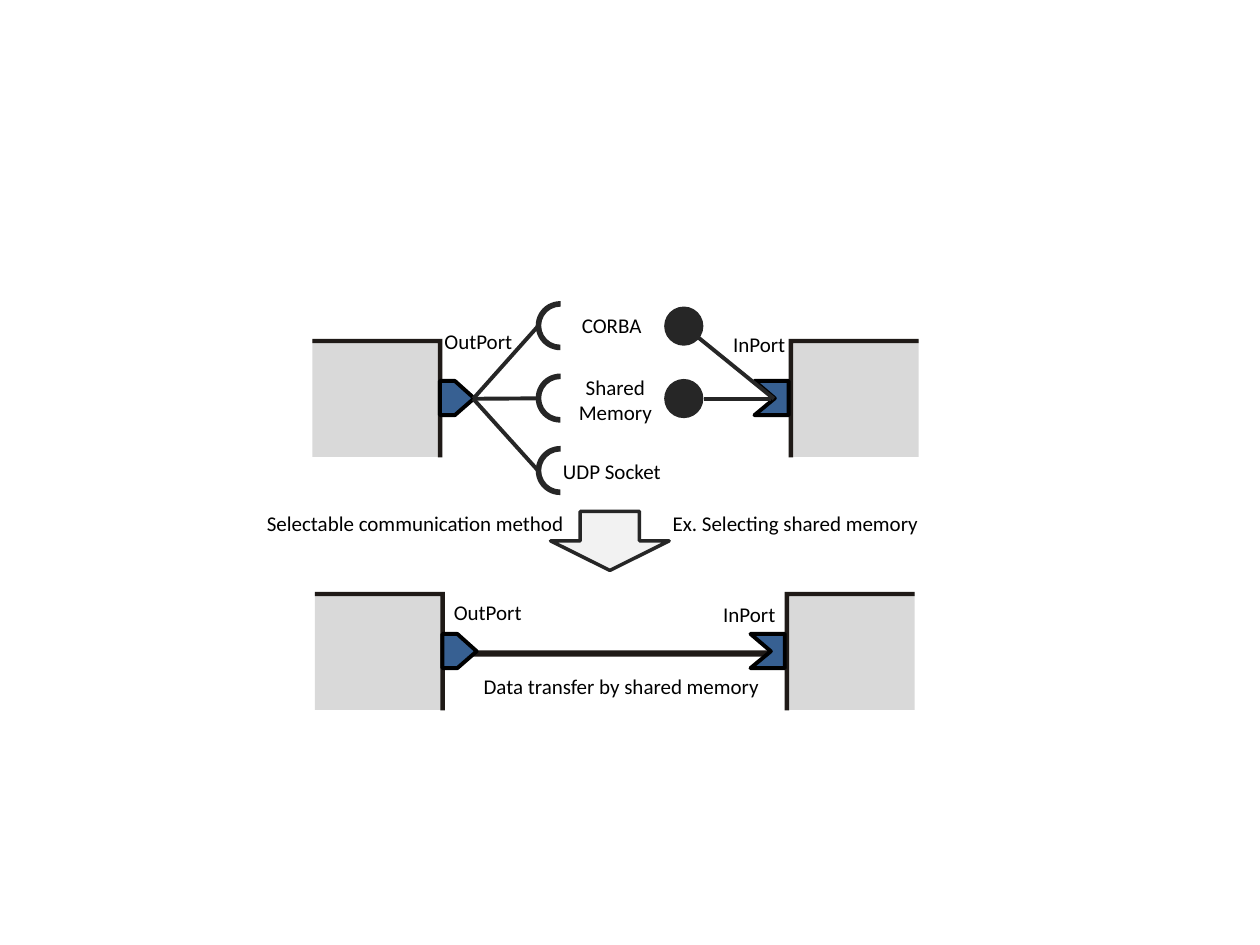
from lxml import etree
from pptx import Presentation
from pptx.dml.color import RGBColor
from pptx.enum import shapes, text
from pptx.oxml import ns
from pptx.util import Cm, Pt

BLACK = RGBColor(0x00, 0x00, 0x00)
EDGE = RGBColor(0x1F, 0x1A, 0x17)
DARK = RGBColor(0x26, 0x26, 0x26)
GREY = RGBColor(0xD9, 0xD9, 0xD9)
PALE = RGBColor(0xF2, 0xF2, 0xF2)
BLUE = RGBColor(0x37, 0x60, 0x92)
SHAPE = shapes.MSO_SHAPE

prs = Presentation()
prs.slide_width, prs.slide_height = Cm(25.4), Cm(19.05)
slide = prs.slides.add_slide(prs.slide_layouts[6])


def add_preset(kind, x, y, w, h, fill, line=None, width=0):
    sp = slide.shapes.add_shape(kind, Cm(x), Cm(y), Cm(w), Cm(h))
    return paint(sp, fill, line, width)


def paint(sp, fill, line=None, width=0):
    """Give a shape a plain fill, an optional outline and no shadow."""
    sp.shadow.inherit = False
    sp.fill.solid()
    sp.fill.fore_color.rgb = fill
    if line is None:
        sp.line.fill.background()
    else:
        sp.line.color.rgb = line
        sp.line.width = Pt(width)
    return sp


# Line that carries the data in the lower diagram
add_preset(SHAPE.RECTANGLE, 9.42, 13.11, 6.1, 0.13, EDGE)

# Components: x of the edge with the port, top, direction of the body
W, H, T = 2.62, 2.39, 0.09
out_port = [(0, 0), (0.3, 0), (0.69, 0.35), (0.3, 0.69), (0, 0.69)]
in_port = [(0, 0), (0.69, 0), (0.69, 0.69), (0, 0.69), (0.41, 0.35)]
components = [
    (8.92, 6.83, -1, out_port, -0.05),
    (15.9, 6.83, 1, in_port, -0.69),
    (8.97, 11.93, -1, out_port, -0.05),
    (15.82, 11.93, 1, in_port, -0.69),
]
for x, y, side, port, shift in components:
    body_w = W - 0.05
    body_x = x + 0.05 if side > 0 else x - W
    add_preset(SHAPE.RECTANGLE, body_x, y + 0.02, body_w, H - 0.03, GREY)

    frame = [(x + side * dx, y + dy) for dx, dy in
             [(0, 0), (W, 0), (W, T), (T, T), (T, H), (0, H)]]
    port = [(x + shift + dx, y + 0.85 + dy) for dx, dy in port]
    for points, fill, line in [(frame, EDGE, None), (port, BLUE, BLACK)]:
        points = [(Cm(px), Cm(py)) for px, py in points]
        fb = slide.shapes.build_freeform(*points[0])
        fb.add_line_segments(points[1:], close=True)
        paint(fb.convert_to_shape(), fill, line, 2.25)

# One row per communication method: sockets on the left, balls on the right
PITCH = 1.46
for i in range(3):
    arc = add_preset(SHAPE.BLOCK_ARC, 10.8, 6.07 + i * PITCH, 0.99, 0.99, DARK)
    arc.rotation = 270
    for n, value in enumerate((108, 0.671, 0.113)):
        arc.adjustments[n] = value
for i in range(2):
    add_preset(SHAPE.OVAL, 13.39, 6.18 + i * PITCH, 0.79, 0.79, DARK)

links = [(10.85, 6.57 + i * PITCH, 9.54, 8.04) for i in range(3)]
links += [(15.55, 8.04, 14.19, 8.04), (15.6, 8.04, 13.79, 6.57)]
for link in links:
    c = slide.shapes.add_connector(shapes.MSO_CONNECTOR.STRAIGHT,
                                   *[Cm(v) for v in link])
    c.line.color.rgb = DARK
    c.line.width = Pt(2.25)
    etree.SubElement(c._element.spPr, ns.qn("a:effectLst"))

add_preset(SHAPE.DOWN_ARROW, 11.1, 10.31, 2.39, 1.19, PALE, DARK, 2)

labels = [
    ("OutPort", 8.71, 6.5, 1.91),
    ("InPort", 14.53, 6.55, 1.57),
    ("OutPort", 8.9, 11.97, 1.91),
    ("InPort", 14.33, 12.01, 1.57),
    ("CORBA", 11.48, 6.17, 1.73),
    ("Shared\nMemory", 11.4, 7.42, 2.01),
    ("UDP Socket", 11.1, 9.12, 2.51),
    ("Ex. Selecting shared memory", 13.31, 10.16, 5.51),
    ("Data transfer by shared memory", 9.5, 13.46, 6.12),
    ("Selectable communication method", 5.13, 10.16, 6.55),
]
for label, x, y, w in labels:
    lines = label.split("\n")
    h = 0.25 + 0.51 * len(lines)
    tf = slide.shapes.add_textbox(Cm(x), Cm(y), Cm(w), Cm(h)).text_frame
    tf.text = label
    tf.word_wrap = False
    tf.auto_size = text.MSO_AUTO_SIZE.SHAPE_TO_FIT_TEXT
    for p in tf.paragraphs:
        p.font.name = "Calibri"
        p.font.size = Pt(12)
        p.font.color.rgb = BLACK
        if len(lines) > 1:
            p.alignment = text.PP_ALIGN.CENTER

prs.save("out.pptx")
